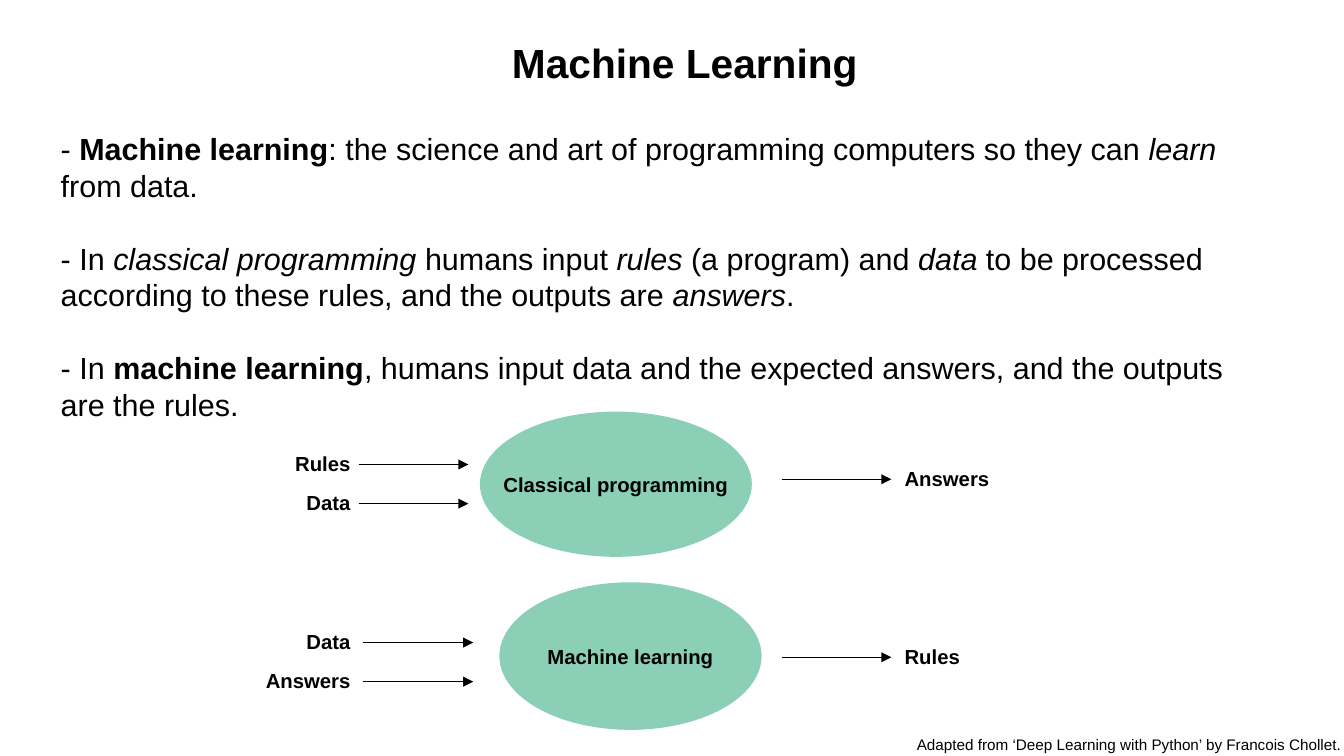
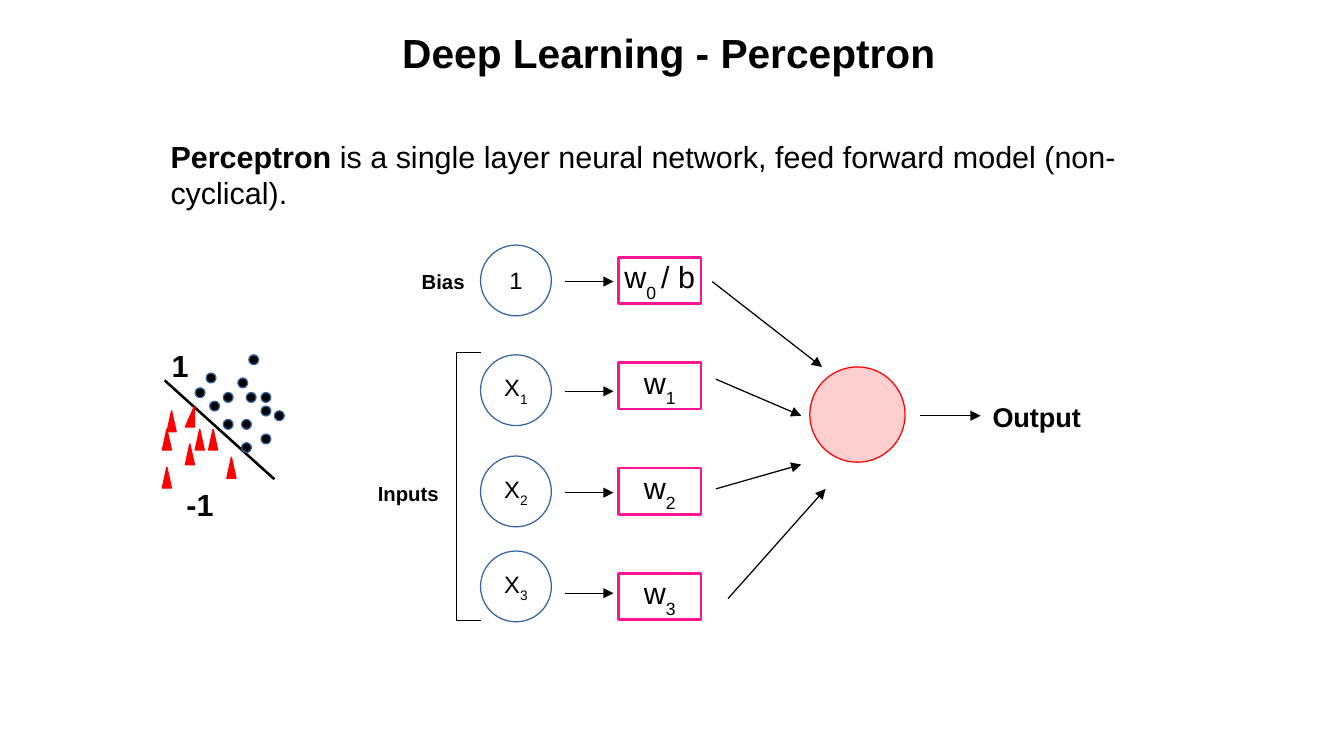
"""Build two slides introducing machine learning and the perceptron."""
import lxml.etree
import pptx
import pptx.dml.color
import pptx.enum.shapes
import pptx.enum.text
import pptx.oxml.ns
import pptx.util

Pt = pptx.util.Pt
Preset = pptx.enum.shapes.MSO_SHAPE
Align = pptx.enum.text.PP_ALIGN
Anchor = pptx.enum.text.MSO_ANCHOR
qn = pptx.oxml.ns.qn

COLORS = {
    "ink": "000000",
    "mint": "8CCFB7",
    "blue": "3465A4",
    "pink": "FF1493",
    "red": "FF0000",
}


class Deck:
    font_name = "Arial"
    title_size = 24
    body_size = 18
    label_size = 12

    def __init__(self, width, height):
        self.presentation = pptx.Presentation()
        self.presentation.slide_width = Pt(width)
        self.presentation.slide_height = Pt(height)
        self.slide = None

    def color(self, name):
        return pptx.dml.color.RGBColor.from_string(COLORS[name])

    def new_slide(self, title, left, top, width):
        layout = self.presentation.slide_layouts[6]
        self.slide = self.presentation.slides.add_slide(layout)
        self.text([[(title, "b")]], left, top, width, 34, self.title_size)

    def fill_text(self, frame, paragraphs, size, align, gap=0):
        for index, runs in enumerate(paragraphs):
            paragraph = frame.paragraphs[0] if index == 0 else frame.add_paragraph()
            paragraph.alignment = align
            if index:
                paragraph.space_before = Pt(gap)
            for content, style in runs:
                run = paragraph.add_run()
                run.text = content
                run.font.name = self.font_name
                run.font.size = Pt(size)
                run.font.color.rgb = self.color("ink")
                run.font.bold = style == "b"
                run.font.italic = style == "i"
                if style == "sub":
                    run._r.get_or_add_rPr().set("baseline", "-33000")

    def text(self, paragraphs, left, top, width, height, size, align=Align.LEFT, gap=0):
        box = self.slide.shapes.add_textbox(Pt(left), Pt(top), Pt(width), Pt(height))
        box.text_frame.word_wrap = True
        self.fill_text(box.text_frame, paragraphs, size, align, gap)
        return box

    def label(self, content, left, top, width, size=label_size, align=Align.LEFT):
        self.text([[(content, "b")]], left, top, width, size + 8, size, align)

    def shape(self, preset, left, top, width, height, fill, line, weight=0.75, runs=(), size=label_size):
        shape = self.slide.shapes.add_shape(preset, Pt(left), Pt(top), Pt(width), Pt(height))
        shape.shadow.inherit = False
        if fill:
            shape.fill.solid()
            shape.fill.fore_color.rgb = self.color(fill)
        else:
            shape.fill.background()
        shape.line.color.rgb = self.color(line)
        shape.line.width = Pt(weight)
        if runs:
            shape.text_frame.word_wrap = False
            shape.text_frame.vertical_anchor = Anchor.MIDDLE
            self.fill_text(shape.text_frame, [runs], size, Align.CENTER)
        return shape

    def fade(self, shape, percent):
        color = shape._element.spPr.find(qn("a:solidFill"))[0]
        lxml.etree.SubElement(color, qn("a:alpha")).set("val", str(percent * 1000))

    def line(self, x1, y1, x2, y2, weight=0.75, arrow=False):
        connector = self.slide.shapes.add_connector(
            pptx.enum.shapes.MSO_CONNECTOR.STRAIGHT, Pt(x1), Pt(y1), Pt(x2), Pt(y2))
        connector.line.color.rgb = self.color("ink")
        connector.line.width = Pt(weight)
        if arrow:
            outline = connector.line._get_or_add_ln()
            lxml.etree.SubElement(outline, qn("a:tailEnd")).set("type", "triangle")
        lxml.etree.SubElement(connector._element.spPr, qn("a:effectLst"))

    def flow(self, name, ellipse, arrow_left, inputs, output):
        arrow_length, label_rise, output_left = 64.8, 11.5, 461.5
        self.shape(Preset.OVAL, *ellipse, "mint", "mint", runs=[(name, "b")])
        for content, y in inputs:
            self.line(arrow_left, y, arrow_left + arrow_length, y, arrow=True)
            self.label(content, 140, y - label_rise, 74, align=Align.RIGHT)
        content, y = output
        self.line(output_left, y, output_left + arrow_length, y, arrow=True)
        self.label(content, 527, y - label_rise, 86)


def build_machine_learning(deck):
    deck.new_slide("Machine Learning", 295.2, 18.7, 222)
    deck.text([
        [("- ", ""), ("Machine learning", "b"),
         (": the science and art of programming computers so they can ", ""),
         ("learn", "i"), (" from data.", "")],
        [("- In ", ""), ("classical programming", "i"), (" humans input ", ""),
         ("rules", "i"), (" (a program) and ", ""), ("data", "i"),
         (" to be processed according to these rules, and the outputs are ", ""),
         ("answers", "i"), (".", "")],
        [("- In ", ""), ("machine learning", "b"),
         (", humans input data and the expected answers, and the outputs are the rules.", "")],
    ], 28.8, 73.4, 704, 180, deck.body_size, gap=21.5)
    deck.flow("Classical programming", (283.7, 243.4, 159.8, 85), 211.7,
              [("Rules", 274.3), ("Data", 297.4)], ("Answers", 283))
    deck.flow("Machine learning", (295.2, 344.2, 154.1, 86.4), 214.6,
              [("Data", 379.4), ("Answers", 402.5)], ("Rules", 388.1))
    credit = deck.text([[("Adapted from ‘Deep Learning with Python’ by Francois Chollet.", "")]],
                       534.2, 430.6, 259.2, 15.8, 9)
    credit.text_frame.margin_right = Pt(0)


def build_network(deck):
    inputs = [
        ([("1", "")], 144.7, 166.3),
        ([("X", ""), ("1", "sub")], 209.5, 231.1),
        ([("X", ""), ("2", "sub")], 269.3, 290.9),
        ([("X", ""), ("3", "sub")], 325.4, 350.3),
    ]
    for index, (runs, top, arrow_y) in enumerate(inputs):
        deck.shape(Preset.OVAL, 283.7, top, 41.8, 41.8, None, "blue", runs=runs, size=14)
        weight = [("w", ""), (str(index), "sub")]
        if index == 0:
            weight = [("w", ""), ("0 ", "sub"), ("/ b", "")]
        deck.shape(Preset.RECTANGLE, 365, 151.9 + 62.2 * index, 49, 27.4, None, "pink",
                   1.5, weight, deck.body_size)
        deck.line(333.4, arrow_y, 362.2, arrow_y, arrow=True)

    neuron = deck.shape(Preset.OVAL, 478.1, 216.7, 56.2, 56.2, "red", "red")
    deck.fade(neuron, 19)
    for ends in [
        (420.5, 166.3, 485.3, 216.7),
        (422.6, 223.9, 473, 245.5),
        (422.6, 288.7, 473, 274.3),
        (429.8, 353.5, 487.4, 288.7),
        (542.9, 245.5, 578.9, 245.5),
    ]:
        deck.line(*ends, arrow=True)
    deck.label("Output", 578.9, 232.6, 78, 16)
    deck.label("Bias", 241.9, 155.5, 56)
    deck.label("Inputs", 216, 280.8, 56)

    left, right, top, bottom = 269.3, 283.7, 208.1, 366.5
    deck.line(left, top, left, bottom)
    for y in (top, bottom):
        deck.line(left, y, right, y)


def build_scatter(deck):
    deck.line(97.2, 224.6, 162, 283, 1.5)
    dots = [
        (131.8, 231.8), (140.4, 223.2), (115.2, 229), (146.9, 209.5), (123.8, 236.9),
        (145.4, 231.8), (142.6, 247.7), (162, 242.6), (131.8, 247.7), (154.1, 256.3),
        (154.1, 231.8), (121.7, 220.3), (154.1, 239.8), (142.6, 261.4),
    ]
    for left, top in dots:
        deck.shape(Preset.OVAL, left, top, 5.8, 5.8, "ink", "blue")
    triangles = [
        (115.2, 253.4, 0.5), (98.6, 242.6, 0.5), (123.1, 253.4, 0.5), (109.4, 262.1, 0.5),
        (95.8, 253.4, 0.5), (133.9, 270, 0.5), (109.4, 239.8, 1), (95.8, 275.8, 0.5),
    ]
    for left, top, apex in triangles:
        triangle = deck.shape(Preset.ISOSCELES_TRIANGLE, left, top, 5.4, 12.4, "red", "red")
        triangle.adjustments[0] = apex
    deck.label("-1", 103, 283.7, 56, deck.body_size)
    deck.label("1", 94.3, 201.6, 56, deck.body_size)


def build_perceptron(deck):
    deck.new_slide("Deep Learning - Perceptron", 230.4, 13, 330)
    deck.text([[("Perceptron", "b"),
                (" is a single layer neural network, feed forward model (non-cyclical).", "")]],
              93.6, 77.8, 640, 50.4, deck.body_size)
    build_network(deck)
    build_scatter(deck)


def main():
    deck = Deck(793.44, 446.4)
    build_machine_learning(deck)
    build_perceptron(deck)
    deck.presentation.save("out.pptx")


if __name__ == "__main__":
    main()
